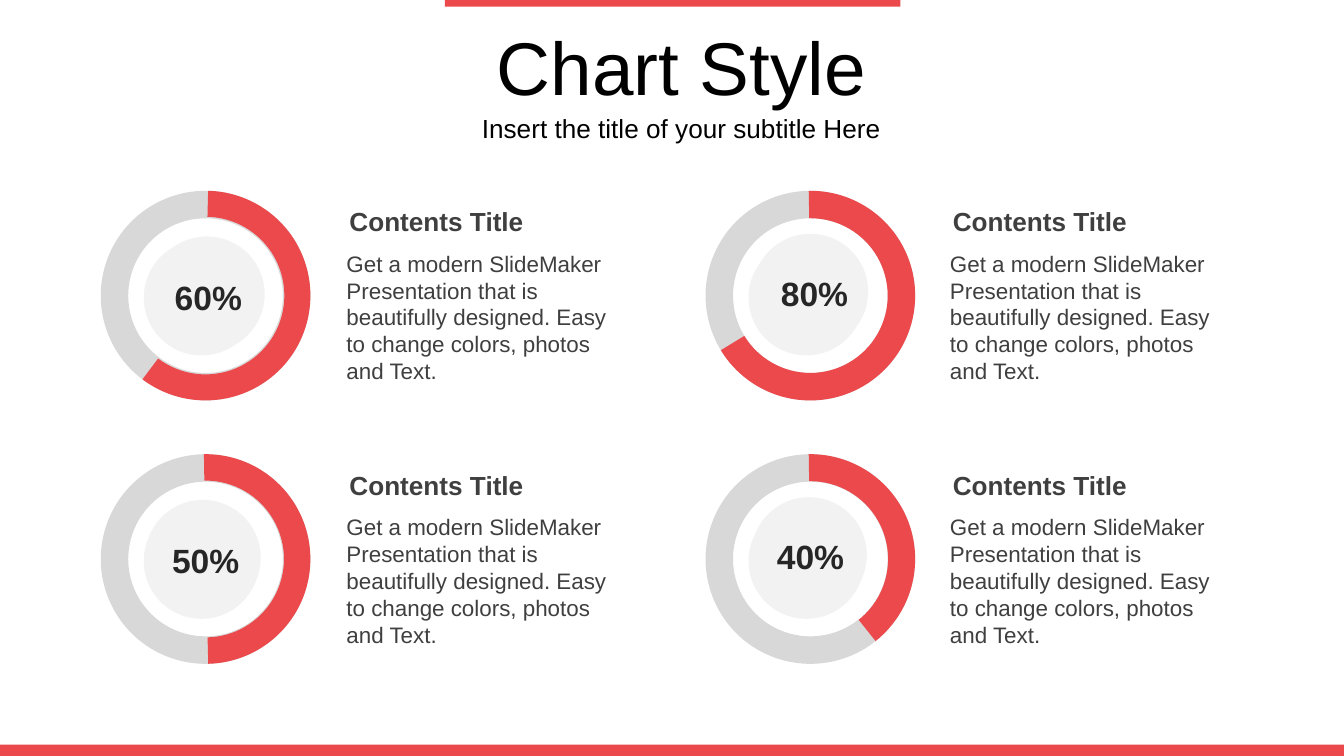
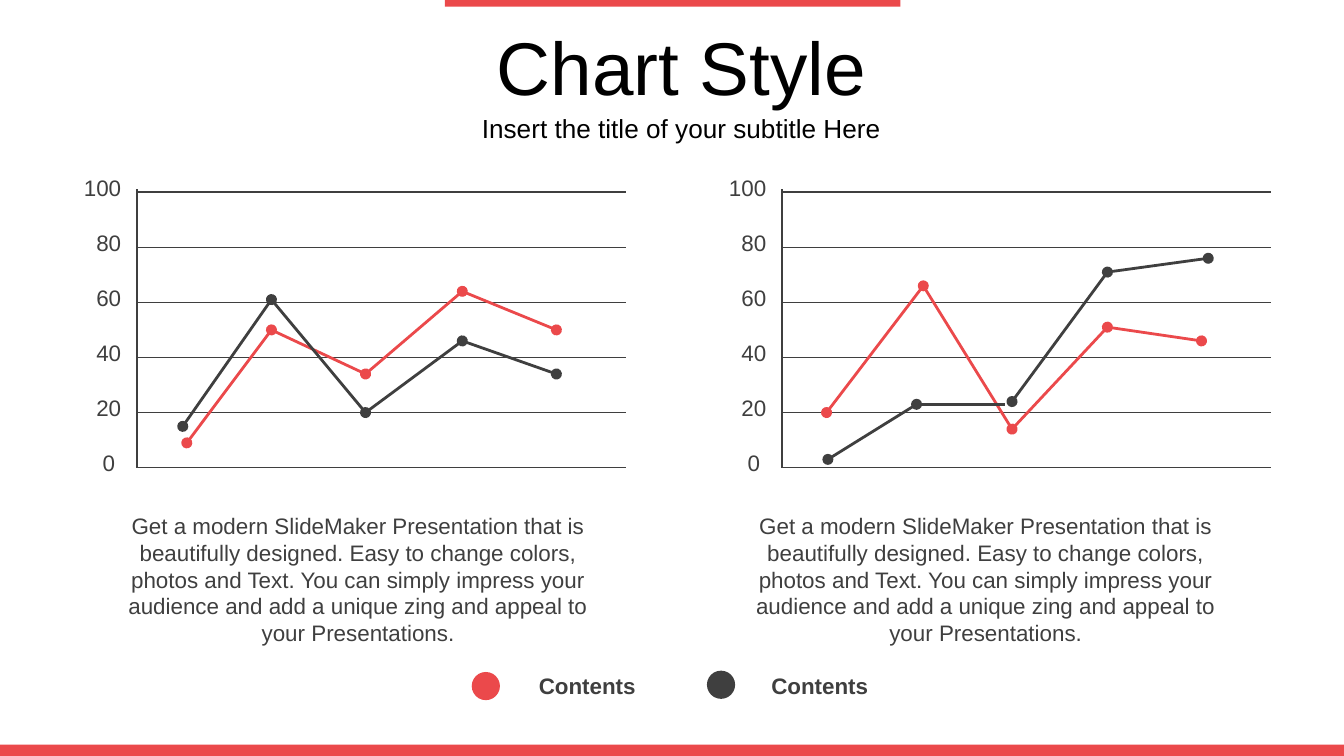
from dataclasses import dataclass

from lxml.etree import SubElement
from pptx import Presentation
from pptx.dml.color import RGBColor
from pptx.enum.shapes import MSO_CONNECTOR, MSO_SHAPE
from pptx.enum.text import MSO_ANCHOR, PP_ALIGN
from pptx.oxml.ns import qn
from pptx.util import Inches, Pt


@dataclass(frozen=True)
class Theme:
    font: str = "Arial"
    accent: str = "EB494B"
    dark: str = "3F3F3F"
    figure: str = "262626"
    title: str = "000000"
    track: str = "D8D8D8"
    hub: str = "F2F2F2"
    title_size: int = 40
    subtitle_size: int = 14
    heading_size: int = 14
    figure_size: int = 18
    body_size: int = 12
    axis_width: float = 0.75
    series_width: float = 1.5


THEME = Theme()
WIDTH, HEIGHT = Inches(10), Inches(5.625)
COLUMNS, ROWS = 100, 56.25

RING_TEXT = (
    "Get a modern SlideMaker Presentation that is beautifully designed. "
    "Easy to change colors, photos and Text."
)
PLOT_TEXT = (
    RING_TEXT + " You can simply impress your audience and add "
    "a unique zing and appeal to your Presentations."
)

AXIS_BASE, AXIS_STEP, AXIS_LENGTH = 34.8, 4.1, 36.4
SCALE_STEP, SCALE_TOP = 20, 100


def columns(count):
    return round(WIDTH * count / COLUMNS)


def rows(count):
    return round(HEIGHT * count / ROWS)


def place(left, top, width, height):
    return columns(left), rows(top), columns(width), rows(height)


def add_block(shapes, preset, area, color, adjustments=()):
    block = shapes.add_shape(preset, *place(*area))
    block.shadow.inherit = False
    block.fill.solid()
    block.fill.fore_color.rgb = RGBColor.from_string(color)
    block.line.fill.background()
    for index, value in enumerate(adjustments):
        block.adjustments[index] = value
    return block


def add_text(shapes, area, text, size, color=THEME.dark, bold=False,
             align=PP_ALIGN.LEFT, anchor=MSO_ANCHOR.TOP, side=1, edge=0.5):
    box = shapes.add_textbox(*place(*area))
    frame = box.text_frame
    frame.word_wrap = True
    frame.vertical_anchor = anchor
    frame.margin_left = frame.margin_right = columns(side)
    frame.margin_top = frame.margin_bottom = rows(edge)
    frame.text = text
    para = frame.paragraphs[0]
    para.alignment = align
    for span in para.runs:
        span.font.name = THEME.font
        span.font.size = Pt(size)
        span.font.bold = bold
        span.font.color.rgb = RGBColor.from_string(color)
    return box


def add_line(shapes, start, end, color, width, dots=()):
    connector = shapes.add_connector(
        MSO_CONNECTOR.STRAIGHT,
        columns(start[0]), rows(start[1]), columns(end[0]), rows(end[1]),
    )
    connector.line.color.rgb = RGBColor.from_string(color)
    connector.line.width = Pt(width)
    properties = connector._element.spPr
    outline = properties.find(qn("a:ln"))
    for dot in dots:
        SubElement(outline, qn(f"a:{dot}")).set("type", "oval")
    SubElement(properties, qn("a:effectLst"))


def add_page(deck, title, subtitle):
    page = deck.slides.add_slide(deck.slide_layouts[6])
    for area in ((33.1, 0, 33.9, 0.5), (0, 55.4, COLUMNS, 0.85)):
        add_block(page.shapes, MSO_SHAPE.RECTANGLE, area, THEME.accent)
    headings = (
        ((4.5, 8, 92.4, 3.1), subtitle, THEME.subtitle_size),
        ((4.7, 1.9, 92, 6), title, THEME.title_size),
    )
    for area, text, size in headings:
        add_text(page.shapes, area, text, size, THEME.title,
                 align=PP_ALIGN.CENTER, anchor=MSO_ANCHOR.MIDDLE, edge=1)
    return page


def add_ring(page, left, top, label, angles, thickness, hub, figure):
    group = page.shapes.add_group_shape().shapes
    ring = (left, top, 15.6, 15.6)
    arc = [angle * 0.6 for angle in angles] + [thickness]
    add_block(group, MSO_SHAPE.DONUT, ring, THEME.track, [0.131])
    add_block(group, MSO_SHAPE.OVAL, (left + 3.2, top + 3.65, 8.6, 8.6), THEME.hub)
    add_block(group, MSO_SHAPE.BLOCK_ARC, ring, THEME.accent, arc)
    add_block(group, MSO_SHAPE.OVAL, (left + hub[0], top + hub[1], 8.6, 8.6), THEME.hub)
    add_text(group, (left + figure[0], top + figure[1], 7.8, 4.4), label,
             THEME.figure_size, THEME.figure, bold=True,
             align=PP_ALIGN.CENTER, anchor=MSO_ANCHOR.MIDDLE)


def add_caption(page, left, top):
    group = page.shapes.add_group_shape().shapes
    add_text(group, (left, top + 3.3, 22, 11.1), RING_TEXT, THEME.body_size)
    add_text(group, (left, top, 22, 3.4), "Contents Title",
             THEME.heading_size, bold=True, side=1.2)


def level(value):
    return AXIS_BASE - value / SCALE_STEP * AXIS_STEP


def add_axes(shapes, left):
    for value in range(0, SCALE_TOP + 1, SCALE_STEP):
        label = add_text(shapes, (left - 5, level(value) - 1.85, 4.8, 3),
                         str(value), THEME.body_size, align=PP_ALIGN.RIGHT)
        if value == 0:
            label.text_frame.margin_right = columns(1.45)
        add_line(shapes, (left, level(value)), (left + AXIS_LENGTH, level(value)),
                 THEME.dark, THEME.axis_width)
    add_line(shapes, (left, level(SCALE_TOP) - 0.2), (left, AXIS_BASE),
             THEME.dark, THEME.axis_width)


def add_series(shapes, left, color, points, end_dot=True):
    spots = [(left + offset, level(value)) for offset, value in points]
    for index, (start, end) in enumerate(zip(spots, spots[1:]), 2):
        last = end_dot and index == len(spots)
        dots = ("headEnd", "tailEnd") if last else ("headEnd",)
        add_line(shapes, start, end, color, THEME.series_width, dots)


def add_plot(page, left, series):
    group = page.shapes.add_group_shape().shapes
    add_axes(group, left)
    for color, points, end_dot in series:
        add_series(group, left, color, points, end_dot)


def add_legend_entry(page, dot_left, dot_top, text_left, color):
    add_block(page.shapes, MSO_SHAPE.OVAL, (dot_left, dot_top, 2.1, 2.1), color)
    add_text(page.shapes, (text_left, 49.5, 10.4, 3), "Contents",
             THEME.body_size, bold=True, align=PP_ALIGN.CENTER)


def build_rings(deck):
    page = add_page(deck, "Chart Style", "Insert the title of your subtitle Here")
    rings = (
        ("60%", (271.39, 127), 0.124, (3.6, 3.4), (4.1, 5.7)),
        ("80%", (269.13, 148.6), 0.131, (3.5, 3.2), (4.2, 5.4)),
        ("50%", (269.13, 88.52), 0.126, (3.3, 3.4), (3.9, 5.7)),
        ("40%", (269.13, 51.52), 0.129, (3.4, 3.2), (3.9, 5.4)),
    )
    for index, ring in enumerate(rings):
        row, column = divmod(index, 2)
        add_caption(page, 24.8 + 44.9 * column, 14.8 + 19.6 * row)
        add_ring(page, 7.5 + 45 * column, 14.2 + 19.6 * row, *ring)


def build_plots(deck):
    page = add_page(deck, "Chart Style", "Insert the title of your subtitle Here")
    for left in (7.5, 54.2):
        add_text(page.shapes, (left, 37.6, 38.3, 11.1), PLOT_TEXT,
                 THEME.body_size, align=PP_ALIGN.CENTER)
    add_legend_entry(page, 35.1, 50, 38.5, THEME.accent)
    add_legend_entry(page, 52.6, 49.9, 55.8, THEME.dark)
    add_plot(page, 10.2, (
        (THEME.accent, ((3.7, 9), (10, 50), (17, 34), (24.2, 64), (31.2, 50)), True),
        (THEME.dark, ((3.4, 15), (10, 61), (17, 20), (24.2, 46), (31.2, 34)), True),
    ))
    add_plot(page, 58.2, (
        (THEME.accent, ((3.3, 20), (10.5, 66), (17.1, 14), (24.2, 51), (31.2, 46)), True),
        (THEME.dark, ((3.4, 3), (10, 23), (16.6, 23)), False),
        (THEME.dark, ((17.1, 24), (24.2, 71), (31.7, 76)), True),
    ))


def main():
    deck = Presentation()
    deck.slide_width, deck.slide_height = WIDTH, HEIGHT
    build_rings(deck)
    build_plots(deck)
    deck.save("out.pptx")


if __name__ == "__main__":
    main()
